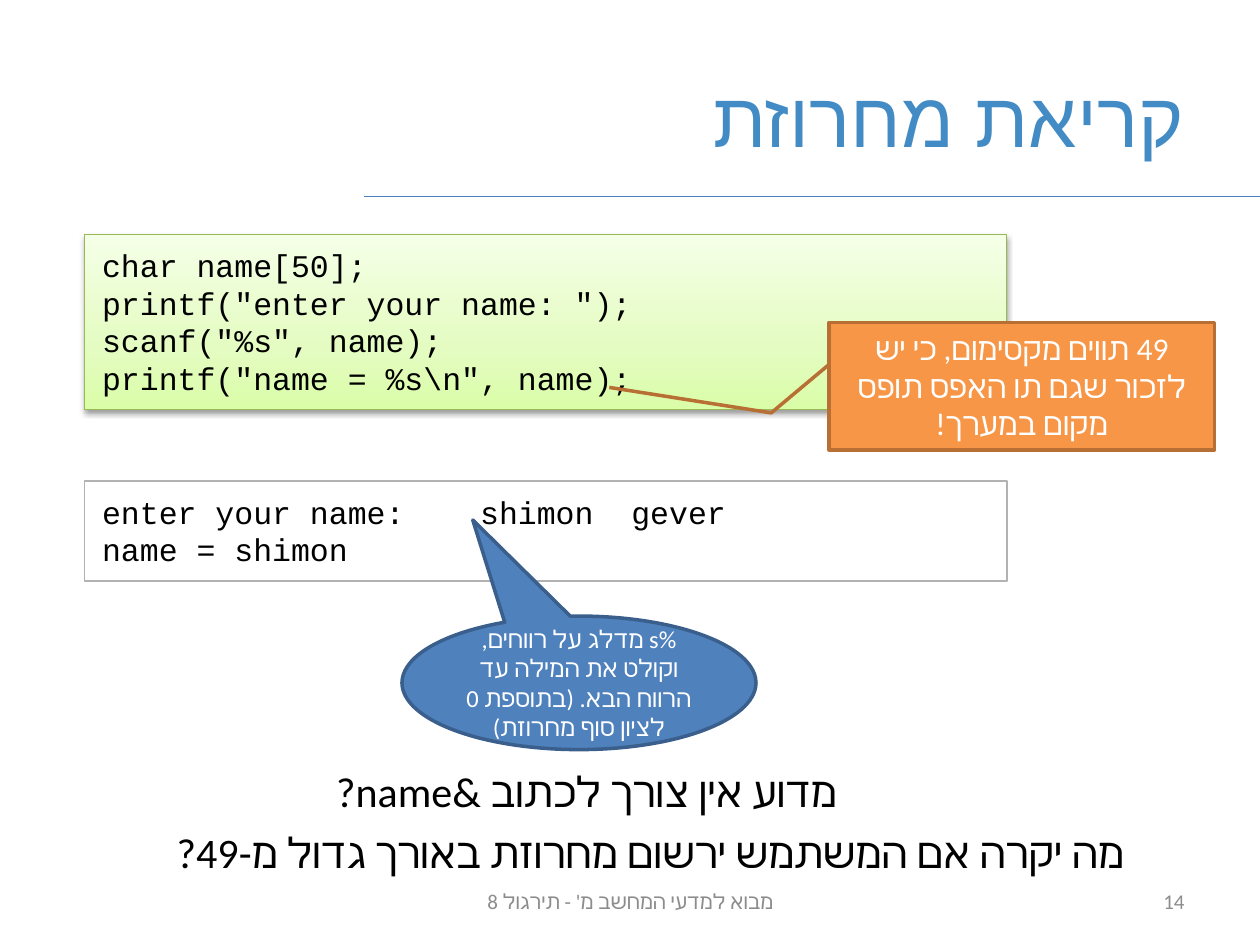
from lxml import etree
from copy import deepcopy
from pptx import Presentation
from pptx.dml.color import RGBColor
from pptx.enum.shapes import MSO_CONNECTOR, MSO_SHAPE
from pptx.enum.text import MSO_ANCHOR, PP_ALIGN
from pptx.oxml.ns import qn
from pptx.util import Inches, Pt

RECT, CALLOUT = MSO_SHAPE.RECTANGLE, MSO_SHAPE.LINE_CALLOUT_2
BUBBLE = MSO_SHAPE.OVAL_CALLOUT
TOP, MIDDLE = MSO_ANCHOR.TOP, MSO_ANCHOR.MIDDLE
CENTER, RIGHT = PP_ALIGN.CENTER, PP_ALIGN.RIGHT
TITLE_ONLY = 5

BLACK = RGBColor(0x00, 0x00, 0x00)
WHITE = RGBColor(0xFF, 0xFF, 0xFF)
GRAY = RGBColor(0x8C, 0x8C, 0x8C)
BOX_GRAY = RGBColor(0xB2, 0xB2, 0xB2)
TITLE_BLUE = RGBColor(0x43, 0x8B, 0xC4)
RULE_BLUE = RGBColor(0x4B, 0x7E, 0xBC)
BLUE = RGBColor(0x4F, 0x81, 0xBD)
DARK_BLUE = RGBColor(0x3A, 0x5F, 0x8C)
ORANGE = RGBColor(0xF7, 0x96, 0x46)
DARK_ORANGE = RGBColor(0xB7, 0x6F, 0x34)
GREEN_LINE = RGBColor(0x98, 0xB9, 0x55)
GREEN_STOPS = [(0, RGBColor(0xDA, 0xFD, 0xA7)),
               (0.35, RGBColor(0xE4, 0xFC, 0xC2)),
               (1, RGBColor(0xF5, 0xFF, 0xE7))]

CODE_LEFT, CODE_WIDTH = 0.67, 7.32
FOOTER_TOP, FOOTER_HEIGHT = 6.95, 0.4
QUESTION_HEIGHT = 0.5

CODE = ['char name[50];', 'printf("enter your name: ");',
        'scanf("%s", name);', 'printf("name = %s\\n", name);']
OUTPUT = ['enter your name:    shimon  gever', 'name = shimon']


def add_run(p, text, size, color, font):
    r = p.add_run()
    r.text = text
    r.font.size = Pt(size)
    r.font.color.rgb = color
    r.font.name = font
    etree.SubElement(r.font._element, qn("a:cs")).set("typeface", font)


def write_hebrew(tf, text, size, color, align, anchor=TOP, font="Calibri"):
    tf.word_wrap = True
    tf.vertical_anchor = anchor
    p = tf.paragraphs[0]
    p.alignment = align
    p._p.get_or_add_pPr().set("rtl", "1")
    add_run(p, text, size, color, font)


def add_label(s, box, text, size, color, align, anchor=TOP):
    sp = s.shapes.add_textbox(*map(Inches, box))
    write_hebrew(sp.text_frame, text, size, color, align, anchor)


def add_outlined(s, kind, box, fill, line, width, adjustments=()):
    sp = s.shapes.add_shape(kind, *map(Inches, box))
    sp.shadow.inherit = False
    sp.fill.solid()
    sp.fill.fore_color.rgb = fill
    sp.line.color.rgb = line
    sp.line.width = Pt(width)
    for i, value in enumerate(adjustments):
        sp.adjustments[i] = value
    return sp


def add_code_box(s, top, height, lines, line, width):
    sp = add_outlined(s, RECT, (CODE_LEFT, top, CODE_WIDTH, height), WHITE, line, width)
    tf = sp.text_frame
    tf.word_wrap = True
    tf.vertical_anchor = TOP
    tf.margin_left = tf.margin_right = Inches(0.14)
    tf.margin_top = tf.margin_bottom = Inches(0.09)
    for i, text in enumerate(lines):
        p = tf.add_paragraph() if i else tf.paragraphs[0]
        p.alignment = PP_ALIGN.LEFT
        add_run(p, text, 18, BLACK, "Courier New")
    return sp


def fill_gradient(sp, stops, angle):
    sp.fill.gradient()
    sp.fill.gradient_angle = angle
    stop_list = sp._element.spPr.find(".//" + qn("a:gsLst"))
    while len(stop_list) < len(stops):
        stop_list.append(deepcopy(stop_list[0]))
    for stop, (position, color) in zip(sp.fill.gradient_stops, stops):
        stop.position = position
        stop.color.rgb = color


def add_shadow(sp, blur, distance, alpha):
    """Add a black shadow straight below; blur and distance in points."""
    effects = sp._element.spPr.find(qn("a:effectLst"))
    shadow = etree.SubElement(effects, qn("a:outerShdw"), blurRad=str(Pt(blur)),
                              dist=str(Pt(distance)), dir="5400000", rotWithShape="0")
    color = etree.SubElement(shadow, qn("a:srgbClr"), val="000000")
    etree.SubElement(color, qn("a:alpha"), val=str(alpha * 1000))


def add_rule(s, left, right, y):
    line = s.shapes.add_connector(MSO_CONNECTOR.STRAIGHT, Inches(right), Inches(y),
                                  Inches(left), Inches(y))
    line.line.color.rgb = RULE_BLUE
    line.line.width = Pt(0.75)
    etree.SubElement(line._element.spPr, qn("a:effectLst"))


def set_title(s, text):
    title = s.shapes.title
    title.left, title.top, title.width, title.height = map(Inches, (0.5, 0.3, 9, 1.25))
    write_hebrew(title.text_frame, text, 44, TITLE_BLUE, RIGHT, MIDDLE, "Arial")


def main():
    prs = Presentation()
    prs.slide_width, prs.slide_height = Inches(10), Inches(7.5)
    s = prs.slides.add_slide(prs.slide_layouts[TITLE_ONLY])

    add_rule(s, 2.89, 10, 1.56)
    set_title(s, "קריאת מחרוזת")
    add_label(s, (3.42, FOOTER_TOP, 3.17, FOOTER_HEIGHT),
              "מבוא למדעי המחשב מ' - תירגול 8", 12, GRAY, CENTER, MIDDLE)
    add_label(s, (7.17, FOOTER_TOP, 2.33, FOOTER_HEIGHT), "14", 12, GRAY, RIGHT, MIDDLE)

    code = add_code_box(s, 1.86, 1.39, CODE, GREEN_LINE, 0.75)
    fill_gradient(code, GREEN_STOPS, 90)
    add_shadow(code, 3.1, 1.6, 38)
    add_code_box(s, 3.82, 0.79, OUTPUT, BOX_GRAY, 1)

    limit = add_outlined(s, CALLOUT, (6.58, 2.56, 3.06, 1.01), ORANGE, DARK_ORANGE, 2,
                         (0.33, 0, 0.71, -0.15, 0.51, -0.57))
    write_hebrew(limit.text_frame,
                 "49 תווים מקסימום, כי יש לזכור שגם תו האפס תופס מקום במערך!",
                 18, WHITE, CENTER)
    skipping = add_outlined(s, BUBBLE, (3.19, 4.89, 2.81, 1.06), BLUE, DARK_BLUE, 2,
                            (-0.3, -1.22))
    write_hebrew(skipping.text_frame,
                 "%s מדלג על רווחים, וקולט את המילה עד הרווח הבא. "
                 "(בתוספת 0 לציון סוף מחרוזת)", 14, WHITE, CENTER, MIDDLE)

    add_label(s, (2.17, 6.03, 4.57, QUESTION_HEIGHT),
              "מדוע אין צורך לכתוב &name?", 24, BLACK, RIGHT)
    add_label(s, (0.91, 6.51, 8.11, QUESTION_HEIGHT),
              "מה יקרה אם המשתמש ירשום מחרוזת באורך גדול מ-49?", 24, BLACK, RIGHT)
    prs.save("out.pptx")


if __name__ == "__main__":
    main()
